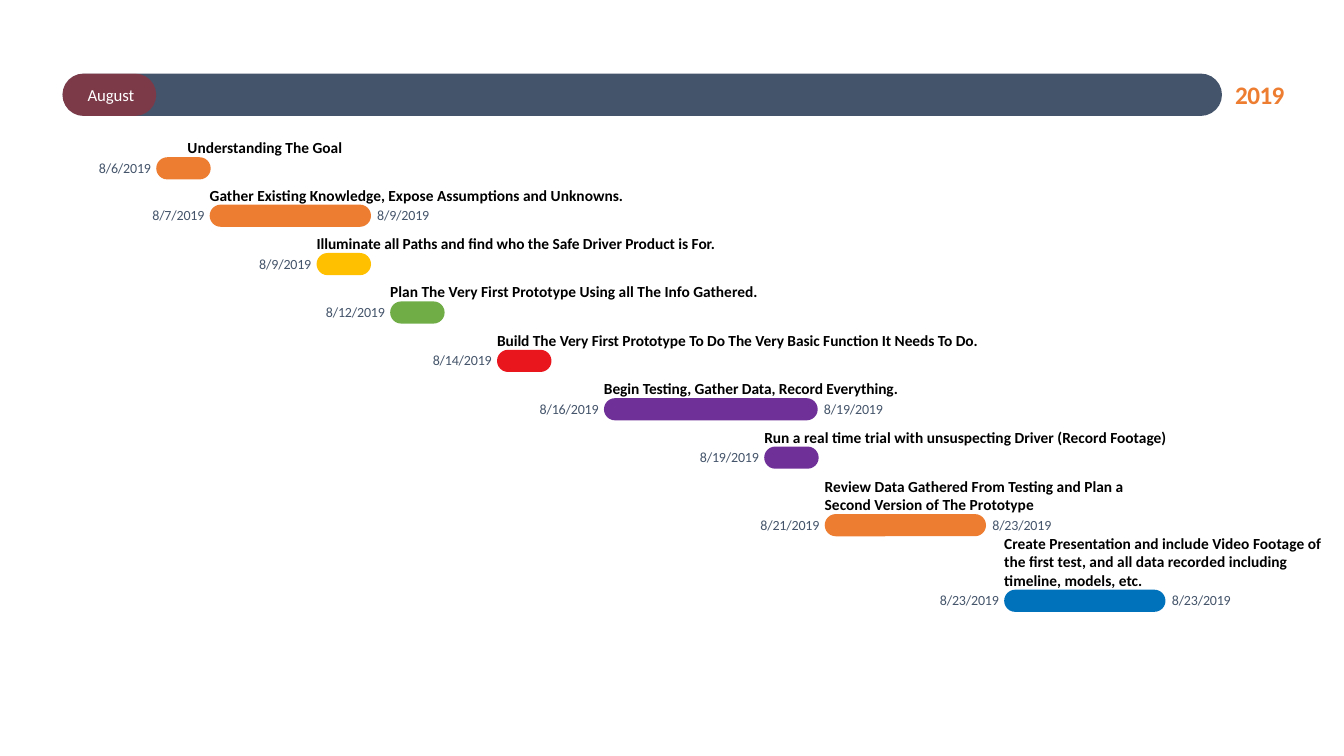
from dataclasses import dataclass

from lxml.etree import SubElement
from pptx import Presentation
from pptx.dml.color import RGBColor
from pptx.enum.shapes import MSO_SHAPE as Preset
from pptx.enum.text import MSO_ANCHOR as Anchor, MSO_AUTO_SIZE as AutoSize, PP_ALIGN as Align
from pptx.oxml.ns import qn
from pptx.util import Emu, Pt

EMU_PER_PX = 9144
FONT = "Calibri"
SLATE, ORANGE, PURPLE = "44546A", "ED7D31", "6F3198"
BAR_HEIGHT = 22
BAND_LEFT, BAND_TOP, BAND_HEIGHT = 62, 73, 42
LABEL_HEIGHTS = {1: 19, 2: 37, 3: 56}


@dataclass
class Task:
    label: str
    left: int
    top: int
    width: int
    color: str
    label_width: int
    start: str
    end: str = ""
    label_lines: int = 1
    label_shift: int = 0
    spacing: float = 0


TASKS = [
    Task("Understanding The Goal", 155, 156, 54, ORANGE, 160, "8/6/2019", label_shift=31),
    Task("Gather Existing Knowledge, Expose Assumptions and Unknowns.",
         208, 203, 160, ORANGE, 425, "8/7/2019", "8/9/2019"),
    Task("Illuminate all Paths and find who the Safe Driver Product is For.",
         314, 251, 54, "FFC000", 410, "8/9/2019", spacing=-0.05),
    Task("Plan The Very First Prototype Using all The Info Gathered.",
         387, 299, 54, "70AD47", 374, "8/12/2019"),
    Task("Build The Very First Prototype To Do The Very Basic Function It Needs To Do.",
         493, 347, 54, "EA161E", 490, "8/14/2019", spacing=-0.05),
    Task("Begin Testing, Gather Data, Record Everything.",
         599, 395, 212, PURPLE, 300, "8/16/2019", "8/19/2019", spacing=-0.05),
    Task("Run a real time trial with unsuspecting Driver (Record Footage)",
         758, 443, 54, PURPLE, 409, "8/19/2019"),
    Task("Review Data Gathered From Testing and Plan a Second Version of The Prototype",
         818, 510, 160, ORANGE, 300, "8/21/2019", "8/23/2019", label_lines=2),
    Task("Create Presentation and include Video Footage of the first test, "
         "and all data recorded including timeline, models, etc.",
         996, 585, 160, "0072BC", 318, "8/23/2019", "8/23/2019", label_lines=3),
]


def px(length):
    return Emu(length * EMU_PER_PX)


def rgb(color):
    return RGBColor.from_string(color)


def add_pill(slide, left, top, width, height, color, opacity=100):
    shape = slide.shapes.add_shape(
        Preset.ROUNDED_RECTANGLE, px(left), px(top), px(width), px(height))
    shape.adjustments[0] = 0.5
    shape.shadow.inherit = False
    shape.line.fill.background()
    shape.fill.solid()
    shape.fill.fore_color.rgb = rgb(color)
    if opacity < 100:
        color_element = shape.fill._xPr.find(".//" + qn("a:srgbClr"))
        SubElement(color_element, qn("a:alpha"), val=str(opacity * 1000))


def add_text(slide, text, left, top, width, height, *, size, color,
             bold=False, align=Align.LEFT, spacing=0, wrap=True, grow=True):
    box = slide.shapes.add_textbox(px(left), px(top), px(width), px(height))
    frame = box.text_frame
    frame.margin_left = frame.margin_right = frame.margin_top = frame.margin_bottom = 0
    frame.vertical_anchor = Anchor.MIDDLE
    frame.word_wrap = wrap
    frame.auto_size = AutoSize.SHAPE_TO_FIT_TEXT if grow else AutoSize.NONE
    paragraph = frame.paragraphs[0]
    paragraph.alignment = align
    run = paragraph.add_run()
    run.text = text
    run.font.name = FONT
    run.font.size = Pt(size)
    run.font.bold = bold
    run.font.color.rgb = rgb(color)
    if spacing:
        run._r.get_or_add_rPr().set("spc", str(round(spacing * 100)))


def date_width(date):
    return 54 if len(date) == 8 else 61


def add_date(slide, date, left, bar_top):
    add_text(slide, date, left, bar_top + 2, date_width(date), 17,
             size=10, color=SLATE, align=Align.CENTER, spacing=-0.1)


def add_task(slide, task):
    add_pill(slide, task.left, task.top, task.width, BAR_HEIGHT, task.color)
    add_date(slide, task.start, task.left - 4 - date_width(task.start), task.top)
    label_height = LABEL_HEIGHTS[task.label_lines]
    add_text(slide, task.label, task.left + task.label_shift, task.top - label_height,
             task.label_width, label_height,
             size=11, color="000000", bold=True, spacing=task.spacing)
    if task.end:
        add_date(slide, task.end, task.left + task.width + 5, task.top)


def add_time_band(slide):
    add_text(slide, "2019", 1225, 78, 49, 31, size=18, color=ORANGE, bold=True,
             align=Align.CENTER, spacing=-0.4, wrap=False)
    add_pill(slide, BAND_LEFT, BAND_TOP, 1150, BAND_HEIGHT, SLATE)
    add_pill(slide, BAND_LEFT, BAND_TOP, 93, BAND_HEIGHT, "FF0000", opacity=30)
    add_text(slide, "August", 87, 84, 51, 20, size=12, color="FFFFFF",
             spacing=-0.1, wrap=False, grow=False)


def main():
    presentation = Presentation()
    presentation.slide_width = px(1333)
    presentation.slide_height = px(750)
    slide = presentation.slides.add_slide(presentation.slide_layouts[6])
    add_time_band(slide)
    for task in TASKS:
        add_task(slide, task)
    presentation.save("out.pptx")


if __name__ == "__main__":
    main()
